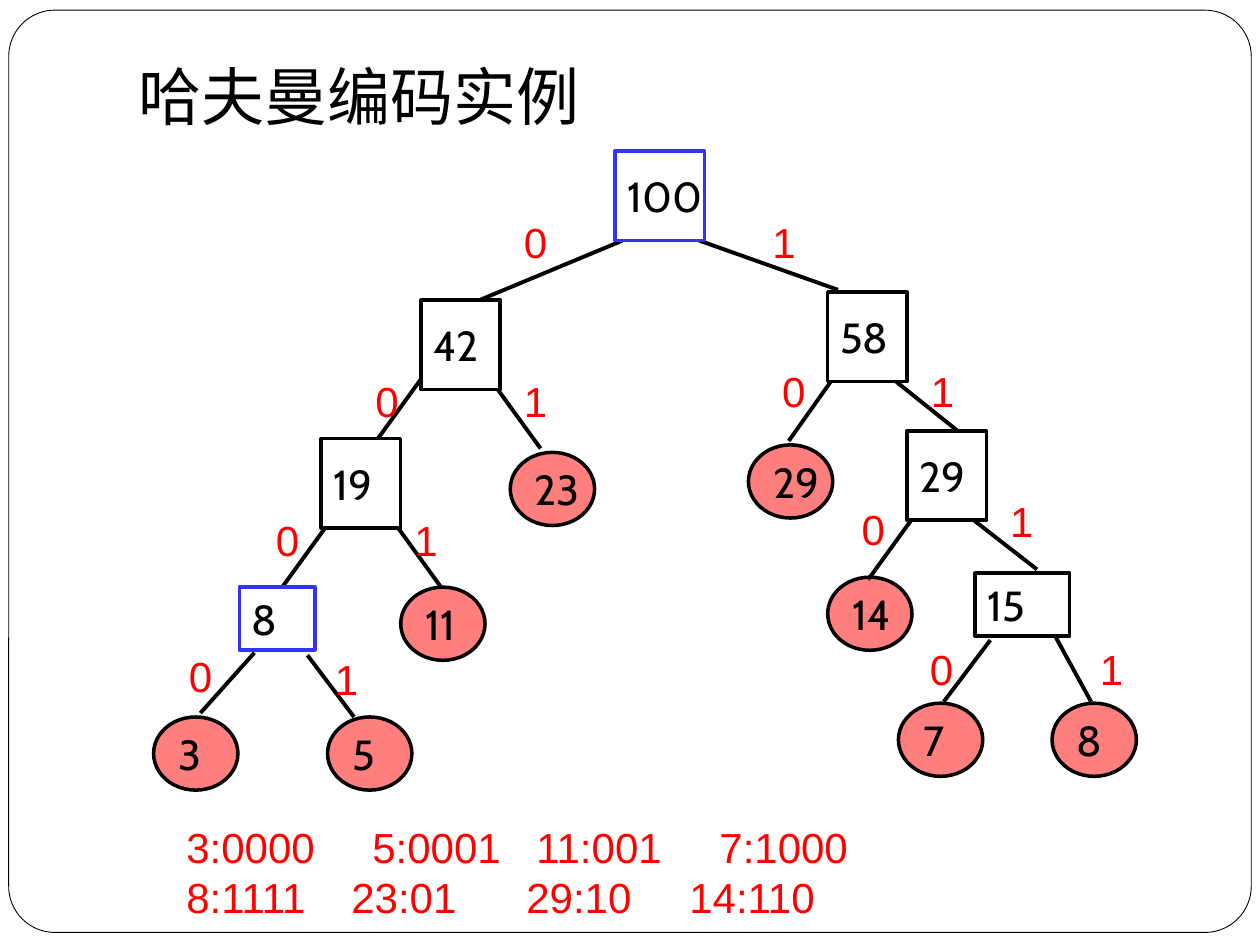
"""Build a slide showing a Huffman coding tree and its code table."""
from lxml.etree import SubElement
from pptx import Presentation
from pptx.dml.color import RGBColor
from pptx.enum.shapes import MSO_CONNECTOR as Connector, MSO_SHAPE as Shape
from pptx.enum.text import MSO_ANCHOR as Anchor, MSO_AUTO_SIZE as AutoSize, PP_ALIGN as Align
from pptx.oxml.ns import qn
from pptx.util import Pt

BLACK = RGBColor(0, 0, 0)
WHITE = RGBColor(255, 255, 255)
RED = RGBColor(255, 0, 0)
BLUE = RGBColor(0x33, 0x33, 0xFF)

LEAF_SIZE = (48.2, 41.8)
LEAVES = [
    ("29", 427.7, 254.2), ("14", 473, 329.8), ("23", 291.6, 258.5), ("11", 229, 335.5),
    ("3", 87.8, 409.7), ("5", 187.2, 409.7), ("7", 513.4, 401.8), ("8", 601.2, 401.8),
]
BRANCH_SIZE = (45.4, 51.1)
BRANCHES = [
    ("100", 351.4, 86.4, (51.1, 51.1), BLUE),
    ("42", 240.5, 171.4, BRANCH_SIZE, BLACK),
    ("58", 473, 167, BRANCH_SIZE, BLACK),
    ("19", 183.6, 250.6, BRANCH_SIZE, BLACK),
    ("29", 518.4, 246.2, BRANCH_SIZE, BLACK),
    ("8", 136.8, 335.5, (43.2, 36), BLUE),
    ("15", 557.3, 327.6, (54, 36), BLACK),
]
EDGES = [
    ((355.7, 137.5), (274.3, 171.4), "0", (292.3, 120.2)),
    ((399.6, 137.5), (478.8, 165.6), "1", (434.2, 120.2)),
    ((240.5, 216.7), (216, 250.6), "0", (207.4, 211)),
    ((284.4, 222.5), (308.9, 256.3), "1", (292.3, 211)),
    ((475.2, 217.4), (450.7, 252), "0", (439.9, 205.2)),
    ((511.2, 217.4), (547.2, 246.2), "1", (524.9, 205.2)),
    ((185.8, 301.7), (161.3, 335.5), "0", (150.5, 290.2)),
    ((227.5, 301.7), (252, 335.5), "1", (229.7, 290.2)),
    ((520.6, 297.4), (496.1, 331.2), "0", (485.3, 284.4)),
    ((556.6, 297.4), (592.6, 325.4), "1", (570.2, 279.4)),
    ((145.4, 373), (114.5, 407.5), "0", (100.8, 367.9)),
    ((175.7, 374.4), (202.3, 409.7), "1", (184.3, 370.1)),
    ((565.9, 365.8), (539.3, 401), "0", (524.2, 364.3)),
    ((603.4, 364.3), (623.5, 401), "1", (621.4, 364.3)),
]
CODE_ROWS = [
    (("3:0000", "5:0001", "11:001", "7:1000"), (106.3, 200, 304.6)),
    (("8:1111", "23:01", "29:10", "14:110"), (94.3, 194.3, 287.4)),
]


class TreeSlide:
    """Hold the tree style and the slide being drawn."""

    node_font, label_font, title_font = "Cabin", "Arial", "Lato"
    text_size, title_size = 24, 36
    outline, edge_width = 2, 2.25

    def __init__(self, slide):
        self.slide = slide

    def format_text(self, paragraph, font_name, size, color):
        paragraph.alignment = Align.LEFT
        for run in paragraph.runs:
            run.font.name = font_name
            run.font.size = Pt(size)
            run.font.color.rgb = color

    def title(self, text, left, top, width, height):
        title = self.slide.shapes.title
        title.left, title.top, title.width, title.height = map(Pt, (left, top, width, height))
        frame = title.text_frame
        frame.text = text
        frame.auto_size = AutoSize.NONE
        frame.vertical_anchor = Anchor.BOTTOM
        frame.margin_bottom = Pt(7.2)
        self.format_text(frame.paragraphs[0], self.title_font, self.title_size, BLACK)

    def outlined(self, kind, left, top, size, fill, line, width):
        shape = self.slide.shapes.add_shape(kind, *map(Pt, (left, top, *size)))
        shape.shadow.inherit = False
        shape.fill.solid()
        shape.fill.fore_color.rgb = fill
        shape.line.color.rgb = line
        shape.line.width = Pt(width)
        return shape

    def border(self, left, top, size):
        shape = self.outlined(Shape.ROUNDED_RECTANGLE, left, top, size, WHITE, BLACK, 0.5)
        shape.adjustments[0] = 0.05
        self.slide.shapes.title.element.addprevious(shape.element)

    def node(self, kind, text, left, top, size, fill, line):
        shape = self.outlined(kind, left, top, size, fill, line, self.outline)
        frame = shape.text_frame
        frame.text = text
        frame.word_wrap = False
        frame.vertical_anchor = Anchor.MIDDLE
        self.format_text(frame.paragraphs[0], self.node_font, self.text_size, BLACK)
        return shape

    def leaf(self, text, left, top):
        shape = self.node(Shape.OVAL, text, left, top, LEAF_SIZE, RED, BLACK)
        color = shape.fill._xPr.find(qn("a:solidFill"))[0]
        SubElement(color, qn("a:alpha"), val="50000")

    def branch(self, text, left, top, size, line):
        self.node(Shape.RECTANGLE, text, left, top, size, WHITE, line)

    def edge(self, start, end):
        line = self.slide.shapes.add_connector(Connector.STRAIGHT, *map(Pt, start + end))
        line.line.color.rgb = BLACK
        line.line.width = Pt(self.edge_width)
        SubElement(line.element.spPr, qn("a:effectLst"))

    def bit(self, text, left, top):
        box = self.slide.shapes.add_textbox(*map(Pt, (left, top, 27.4, 36)))
        frame = box.text_frame
        frame.text = text
        frame.word_wrap = False
        self.format_text(frame.paragraphs[0], self.label_font, self.text_size, RED)

    def codes(self, rows, left, top, width, height):
        frame = self.slide.shapes.add_textbox(*map(Pt, (left, top, width, height))).text_frame
        frame.word_wrap = True
        frame.text = "\n".join("\t".join(codes) for codes, _ in rows)
        for paragraph, (_, stops) in zip(frame.paragraphs, rows):
            self.format_text(paragraph, self.label_font, self.text_size, RED)
            tabs = SubElement(paragraph._p.get_or_add_pPr(), qn("a:tabLst"))
            for stop in stops:
                SubElement(tabs, qn("a:tab"), pos=str(Pt(stop)), algn="l")


def main():
    presentation = Presentation()
    presentation.slide_width, presentation.slide_height = Pt(720), Pt(540)
    tree = TreeSlide(presentation.slides.add_slide(presentation.slide_layouts[5]))
    tree.border(5, 5.8, (710, 527))
    tree.title("哈夫曼编码实例", 72, 15.1, 612, 68.4)
    for start, end, _, _ in EDGES:
        tree.edge(start, end)
    for leaf in LEAVES:
        tree.leaf(*leaf)
    for branch in BRANCHES:
        tree.branch(*branch)
    for _, _, text, place in EDGES:
        tree.bit(text, *place)
    tree.codes(CODE_ROWS, 99.4, 465.8, 555.8, 64.8)
    presentation.save("out.pptx")


if __name__ == "__main__":
    main()
